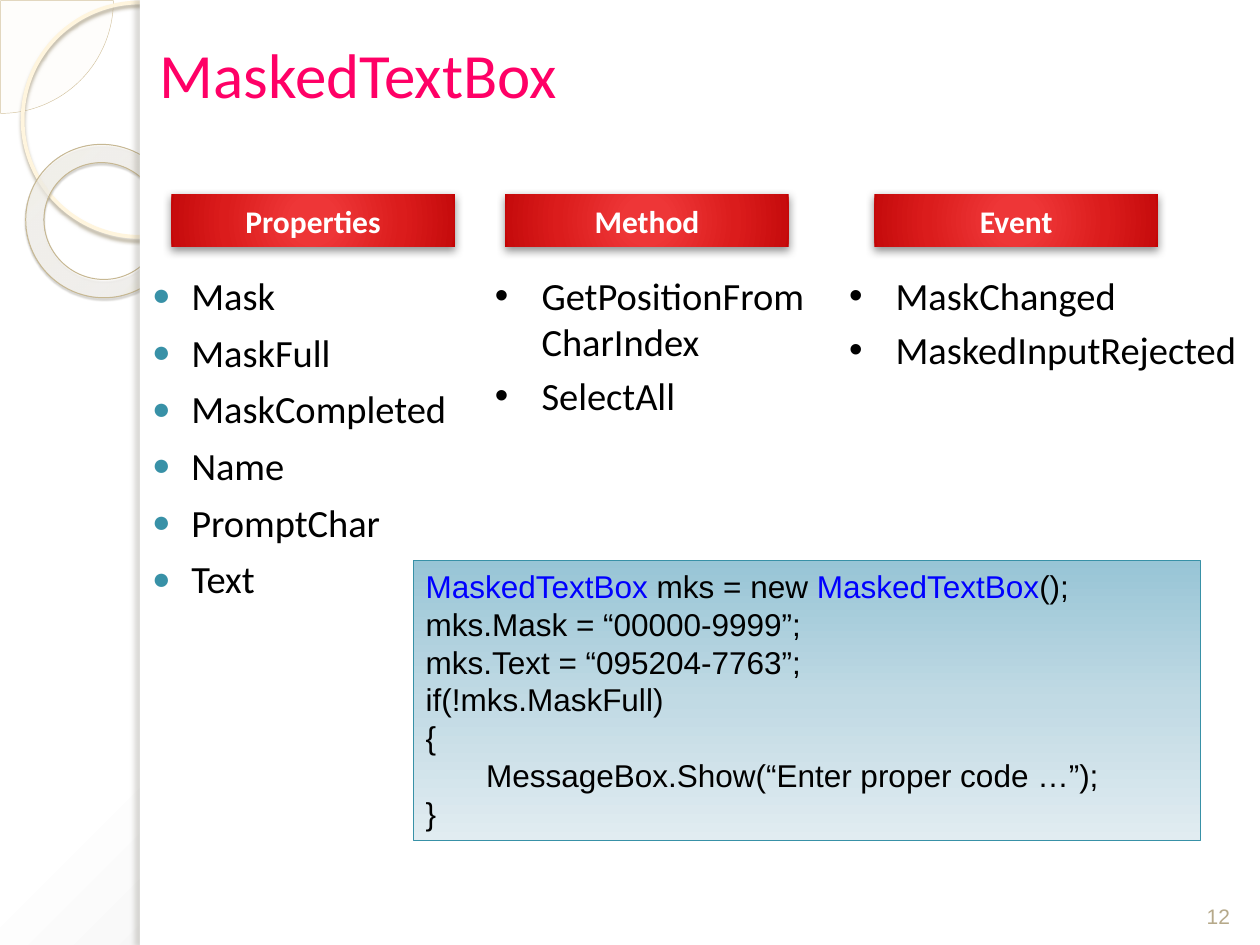
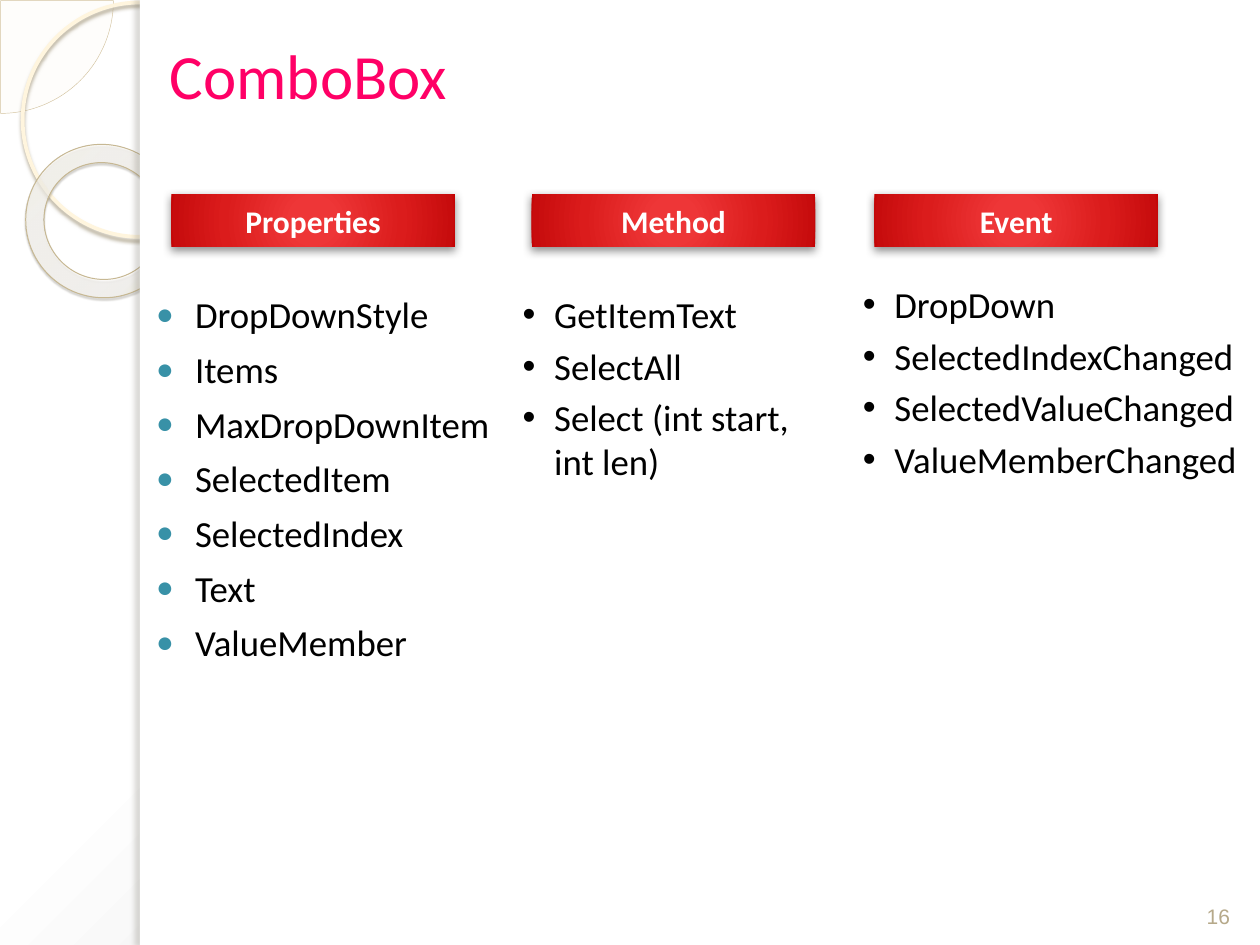
from lxml.etree import SubElement
from pptx import Presentation
from pptx.dml.color import RGBColor
from pptx.enum.shapes import MSO_SHAPE as Preset
from pptx.enum.text import MSO_ANCHOR as Anchor, PP_ALIGN as Align
from pptx.oxml.ns import qn
from pptx.util import Inches, Pt

PINK, BLACK, WHITE = "FF0066", "000000", "FFFFFF"
TEAL, KEYWORD, TAN = "3891A7", "0000FF", "B6A98A"
PAPER = [(0, WHITE), (40, WHITE), (100, "C5C5C5")]
RING = [(0, "FFFCF6", 70), (70, "FFFEFB", 55), (100, "F0D28E", 60)]
RED = [(0, "EF3737"), (15, "EE3637"), (62, "DB1C1C"), (97, "C70C0D"), (100, "C30001")]
WATER = [(0, "98C5D6"), (50, "C1DAE4"), (100, "E1ECF1")]
TITLE = {"size": Pt(36), "name": "Calibri"}
HEADING = {"size": Pt(18), "name": "Calibri", "bold": True}
CODE = {"size": Pt(18), "name": "Arial"}
NUMBER = {"size": Pt(12), "name": "Arial"}
HEADING_TOP, HEADING_SIZE = 1.54, (2.25, 0.42)


def rgb(color):
    return RGBColor.from_string(color)


def add_xml(parent, tag, **values):
    return SubElement(parent, qn(tag), {key: str(value) for key, value in values.items()})


def add_color(parent, color, alpha=100):
    node = add_xml(parent, "a:srgbClr", val=color)
    if alpha < 100:
        add_xml(node, "a:alpha", val=alpha * 1000)


def apply_gradient(owner, stops, center=None):
    solid = owner.find(qn("a:solidFill"))
    gradient = add_xml(owner, "a:gradFill", rotWithShape=1)
    stop_list = add_xml(gradient, "a:gsLst")
    for position, *color in stops:
        add_color(add_xml(stop_list, "a:gs", pos=position * 1000), *color)
    if center:
        circle = add_xml(gradient, "a:path", path="circle")
        sides = {side: value * 1000 for side, value in zip("ltrb", center)}
        add_xml(circle, "a:fillToRect", **sides)
    else:
        add_xml(gradient, "a:lin", ang=5400000, scaled=0)
    owner.replace(solid, gradient)


class Deck:
    def __init__(self):
        self.show = Presentation()
        self.show.slide_width, self.show.slide_height = Inches(10), Inches(7.5)
        self.slide = None

    def start(self, title, title_box, number):
        self.slide = self.show.slides.add_slide(self.show.slide_layouts[6])
        self.slide.background.fill.solid()
        apply_gradient(self.slide.element.find(".//" + qn("p:bgPr")), PAPER, (-24, -20, 124, 120))
        self.decorate()
        self.label(title, title_box, TITLE, PINK, Anchor.MIDDLE)
        self.label(number, (9.42, 6.9, 0.5, 0.52), NUMBER, TAN, Anchor.BOTTOM, Align.CENTER)

    def decorate(self):
        quarter = self.shape(Preset.PIE, (-0.89, -0.89, 1.79, 1.79), "FEFAF4", ("D3C39F", 0.25), alpha=33)
        quarter.adjustments[0], quarter.adjustments[1] = 0, 54.02
        self.shape(Preset.OVAL, (0.18, 0.02, 1.86, 1.86), None, ("FFF5DE", 2.15),
                   shadow=("B0A68F", 85, 2, 2, 90))
        ring = self.shape(Preset.DONUT, (0.2, 1.15, 1.23, 1.21), RING, ("C7B893", 0.58),
                          (-408, -50, 508, 150), ("5A5444", 35, 1, 1.2, 75))
        ring.adjustments[0], ring.rotation = 0.12, 38.6
        self.shape(Preset.RECTANGLE, (1.11, 0, 8.89, 7.5), WHITE)
        self.shape(Preset.RECTANGLE, (1.11, 0, 0.08, 7.5), WHITE, shadow=("736F63", 25, 3, 3, 180))

    def shape(self, preset, box, fill, line=None, center=None, shadow=None, alpha=100):
        shape = self.slide.shapes.add_shape(preset, *map(Inches, box))
        shape.shadow.inherit = False
        properties = shape.element.spPr
        if fill is None:
            shape.fill.background()
        else:
            shape.fill.solid()
            if isinstance(fill, list):
                apply_gradient(properties, fill, center)
            else:
                shape.fill.fore_color.rgb = rgb(fill)
                if alpha < 100:
                    add_xml(properties.find(".//" + qn("a:srgbClr")), "a:alpha", val=alpha * 1000)
        if line:
            shape.line.color.rgb, shape.line.width = rgb(line[0]), Pt(line[1])
        else:
            shape.line.fill.background()
        if shadow:
            color, opacity, blur, distance, angle = shadow
            outer = add_xml(properties.find(qn("a:effectLst")), "a:outerShdw", blurRad=Pt(blur),
                            dist=Pt(distance), dir=angle * 60000, algn="ctr", rotWithShape=0)
            add_color(outer, color, opacity)
        return shape

    def frame(self, box):
        frame = self.slide.shapes.add_textbox(*map(Inches, box)).text_frame
        frame.word_wrap = True
        return frame

    def run(self, paragraph, text, style, color):
        run = paragraph.add_run()
        run.text = text
        for key, value in style.items():
            setattr(run.font, key, value)
        run.font.color.rgb = rgb(color)

    def label(self, text, box, style, color, anchor, align=Align.LEFT):
        frame = self.frame(box)
        frame.vertical_anchor = anchor
        frame.paragraphs[0].alignment = align
        self.run(frame.paragraphs[0], text, style, color)

    def headings(self, lefts):
        for text, left in zip(("Properties", "Method", "Event"), lefts):
            button = self.shape(Preset.RECTANGLE, (left, HEADING_TOP, *HEADING_SIZE), RED,
                                center=(50, 50, 50, 50), shadow=(BLACK, 43, 5, 2, 90))
            button.text_frame.vertical_anchor = Anchor.MIDDLE
            paragraph = button.text_frame.paragraphs[0]
            paragraph.alignment = Align.CENTER
            self.run(paragraph, text, HEADING, WHITE)

    def bullets(self, items, box, size, indent=None):
        frame = self.frame(box)
        for index, item in enumerate(items):
            paragraph = frame.add_paragraph() if index else frame.paragraphs[0]
            properties = paragraph._p.get_or_add_pPr()
            left, hanging = (indent, indent) if indent else (0.4, 0.31)
            properties.set("marL", str(Inches(left)))
            properties.set("indent", str(-Inches(hanging)))
            if indent:
                add_xml(add_xml(properties, "a:spcBef"), "a:spcPct", val=20000)
            else:
                paragraph.space_before = Pt(6)
                add_color(add_xml(properties, "a:buClr"), TEAL)
                add_xml(properties, "a:buSzPct", val=80000)
            add_xml(properties, "a:buFont", typeface="Arial")
            add_xml(properties, "a:buChar", char="•" if indent else "●")
            self.run(paragraph, item, {"size": Pt(size), "name": "Calibri"}, BLACK)

    def code(self, lines, box):
        frame = self.shape(Preset.RECTANGLE, box, WATER, (TEAL, 0.75)).text_frame
        frame.vertical_anchor = Anchor.TOP
        for index, (indent, *parts) in enumerate(lines):
            paragraph = frame.add_paragraph() if index else frame.paragraphs[0]
            paragraph.alignment = Align.LEFT
            paragraph._p.get_or_add_pPr().set("marL", str(Inches(indent)))
            for part in parts:
                self.run(paragraph, part, CODE, KEYWORD if part == "MaskedTextBox" else BLACK)


def main():
    deck = Deck()

    deck.start("MaskedTextBox", (1.17, 0.16, 7.11, 0.84), "12")
    deck.bullets(["Mask", "MaskFull", "MaskCompleted", "Name", "PromptChar", "Text"],
                 (1.02, 2.11, 2.73, 3.83), 22)
    deck.bullets(["GetPositionFromCharIndex", "SelectAll"], (3.83, 2.11, 2.73, 1.92), 22, 0.37)
    deck.bullets(["MaskChanged", "MaskedInputRejected"], (6.64, 2.11, 3.36, 0.92), 22, 0.37)
    deck.code([
        (0, "MaskedTextBox", " mks = new ", "MaskedTextBox", "();"),
        (0, "mks.Mask = “00000-9999”;"),
        (0, "mks.Text = “095204-7763”;"),
        (0, "if(!mks.MaskFull)"),
        (0, "{"),
        (0.48, "MessageBox.Show(“Enter proper code …”);"),
        (0, "}"),
    ], (3.28, 4.45, 6.25, 2.22))
    deck.headings((1.36, 4.01, 6.94))

    deck.start("ComboBox", (1.25, 0.16, 4.22, 0.86), "16")
    deck.bullets(["DropDownStyle", "Items", "MaxDropDownItem", "SelectedItem", "SelectedIndex",
                  "Text", "ValueMember"], (1.05, 2.27, 3.09, 3.49), 21)
    deck.bullets(["GetItemText", "SelectAll", "Select (int start, int len)"],
                 (4.05, 2.27, 2.67, 1.92), 21, 0.25)
    deck.bullets(["DropDown", "SelectedIndexChanged", "SelectedValueChanged",
                  "ValueMemberChanged"], (6.75, 2.19, 3.25, 3.27), 21, 0.25)
    deck.headings((1.36, 4.22, 6.94))

    deck.show.save("out.pptx")


if __name__ == "__main__":
    main()
